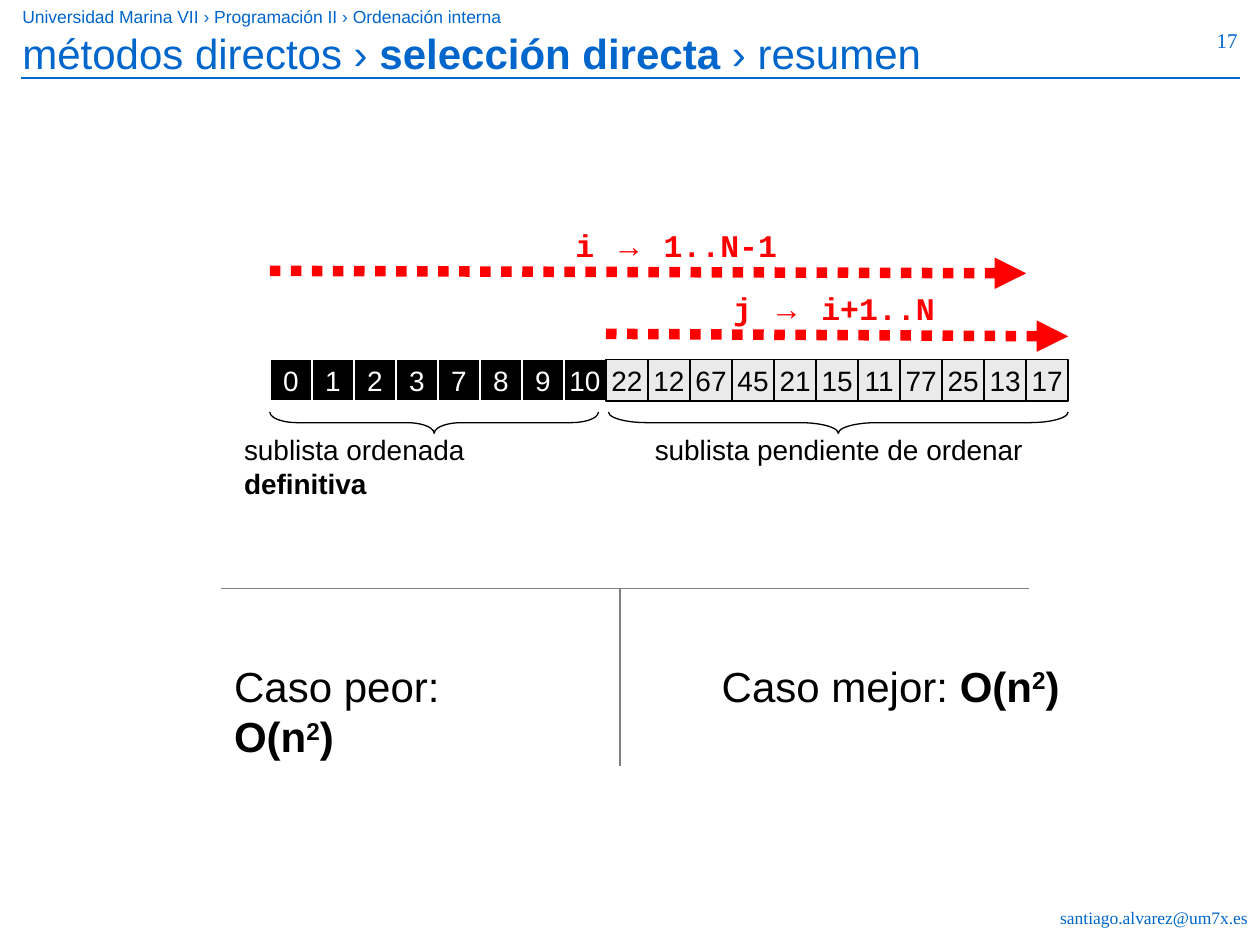
from lxml.etree import SubElement
from pptx import Presentation
from pptx.dml.color import RGBColor
from pptx.enum.dml import MSO_LINE
from pptx.enum.shapes import MSO_CONNECTOR, MSO_SHAPE
from pptx.enum.text import MSO_ANCHOR, MSO_AUTO_SIZE, PP_ALIGN
from pptx.oxml.ns import qn
from pptx.util import Cm, Pt

BLUE = RGBColor(0x00, 0x66, 0xCC)
RED = RGBColor(0xFF, 0x00, 0x00)
GRAY = RGBColor(0x80, 0x80, 0x80)
PALE = RGBColor(0xEA, 0xEA, 0xEA)
BLACK = RGBColor(0x00, 0x00, 0x00)
WHITE = RGBColor(0xFF, 0xFF, 0xFF)

SORTED = [0, 1, 2, 3, 7, 8, 9, 10]
PENDING = [22, 12, 67, 45, 21, 15, 11, 77, 25, 13, 17]
LEFT, TOP, CELL = 5.44, 7.24, 0.847


def edge(index):
    """Left edge, in cm, of the list cell at index."""
    return LEFT + index * CELL


def write(frame, runs, size, color, font="Arial", align=PP_ALIGN.LEFT):
    """Fill a frame with one paragraph; each run is (text, styles)."""
    frame.margin_left = frame.margin_right = Cm(0.25)
    frame.margin_top = frame.margin_bottom = Cm(0.13)
    para = frame.paragraphs[0]
    para.alignment = align
    para.font.size = Pt(size)
    para.font.name = font
    para.font.color.rgb = color
    for text, *styles in runs:
        run = para.add_run()
        run.text = text
        if "bold" in styles:
            run.font.bold = True
        if "super" in styles:
            run._r.get_or_add_rPr().set("baseline", "30000")
        if "arial" in styles:
            run.font.name = "Arial"


def add_text(slide, box, runs, size, color, wrap=True, **style):
    frame = slide.shapes.add_textbox(*map(Cm, box)).text_frame
    frame.word_wrap = wrap
    write(frame, runs, size, color, **style)


def add_line(slide, start, end, color, width=0.75):
    line = slide.shapes.add_connector(
        MSO_CONNECTOR.STRAIGHT, *map(Cm, start + end))
    line.line.color.rgb = color
    line.line.width = Pt(width)
    SubElement(line._element.spPr, qn("a:effectLst"))
    return line


def add_arrow(slide, first, last, y, label, x):
    """Dotted arrow from cell edge first to last, with its index range above."""
    arrow = add_line(slide, (edge(first), y), (edge(last), y + 0.05), RED, 6)
    arrow.line.dash_style = MSO_LINE.ROUND_DOT
    SubElement(arrow.line._get_or_add_ln(), qn("a:tailEnd"), type="triangle")
    name, span = label
    runs = [(name + " ", "bold"), ("→", "bold", "arial"), (" " + span, "bold")]
    add_text(slide, (x, y - 1.04, 4.57, 1.02), runs, 18, RED, wrap=False,
             font="Courier New")


def add_shape(slide, kind, box, line):
    shape = slide.shapes.add_shape(kind, *map(Cm, box))
    shape.shadow.inherit = False
    shape.line.color.rgb = line
    shape.line.width = Pt(0.75)
    return shape


def add_cells(slide, values, first, fill, line, color):
    for index, value in enumerate(values, first):
        cell = add_shape(slide, MSO_SHAPE.RECTANGLE,
                         (edge(index), TOP, CELL, CELL), line)
        cell.fill.solid()
        cell.fill.fore_color.rgb = fill
        frame = cell.text_frame
        frame.word_wrap = False
        frame.vertical_anchor = MSO_ANCHOR.MIDDLE
        write(frame, [(str(value),)], 16, color, align=PP_ALIGN.CENTER)


def add_brace(slide, start, end):
    """Brace that opens upwards under the list: a left brace turned by 270."""
    size, depth, middle = end - start, 0.43, 8.52
    box = ((start + end - depth) / 2, middle - size / 2, depth, size)
    brace = add_shape(slide, MSO_SHAPE.LEFT_BRACE, box, BLACK)
    brace.fill.background()
    brace.rotation = 270
    brace.adjustments[0] = size / 12 / depth


def add_title(slide):
    title = slide.shapes.title
    title.left, title.top, title.width, title.height = map(
        Cm, (0.2, 0.43, 22.02, 1.57))
    frame = title.text_frame
    frame.auto_size = MSO_AUTO_SIZE.NONE
    frame.vertical_anchor = MSO_ANCHOR.TOP
    write(frame, [("métodos directos › ",), ("selección directa ", "bold"),
                  ("› resumen",)], 24, BLUE)


def add_frame(slide):
    """Header, rule, page number and address."""
    add_line(slide, (0.43, 1.57), (24.99, 1.57), BLUE)
    add_text(slide, (0.2, 0, 14.81, 0.69),
             [("Universidad Marina VII › Programación II › Ordenación interna",)],
             10, BLUE)
    add_title(slide)
    serif = {"font": "Times New Roman", "align": PP_ALIGN.RIGHT}
    add_text(slide, (17.35, 18.16, 8.05, 0.69),
             [("santiago.alvarez@um7x.es",)], 10, BLUE, **serif)
    add_text(slide, (23.5, 0.43, 1.7, 1.32), [("17",)], 12, BLUE, **serif)


def add_list(slide):
    split = len(SORTED)
    total = split + len(PENDING)
    add_cells(slide, SORTED, 0, BLACK, WHITE, WHITE)
    add_cells(slide, PENDING, split, PALE, BLACK, BLACK)
    add_brace(slide, LEFT, edge(split) - 0.15)
    add_brace(slide, edge(split) + 0.05, edge(total))
    add_text(slide, (4.67, 8.59, 7.57, 0.94),
             [("sublista ordenada ",), ("definitiva", "bold")],
             16, BLACK, wrap=False)
    add_text(slide, (12.95, 8.59, 7.92, 0.94),
             [("sublista pendiente de ordenar",)], 16, BLACK, wrap=False)
    add_arrow(slide, 0, total - 1, 5.46, ("i", "1..N-1"), 11.35)
    add_arrow(slide, split, total, 6.73, ("j", "i+1..N"), 14.53)


def add_cases(slide):
    add_line(slide, (4.45, 11.86), (20.75, 11.86), GRAY)
    add_line(slide, (12.5, 11.86), (12.5, 15.44), GRAY)
    for name, x, width in (("peor", 4.47, 6.88), ("mejor", 14.3, 7.32)):
        add_text(slide, (x, 13.18, width, 1.27),
                 [(f"Caso {name}: ",), ("O(n", "bold"),
                  ("2", "bold", "super"), (")", "bold")],
                 24, BLACK, wrap=False)


def main():
    deck = Presentation()
    deck.slide_width, deck.slide_height = Cm(25.4), Cm(19.05)
    slide = deck.slides.add_slide(deck.slide_layouts[5])
    add_frame(slide)
    add_list(slide)
    add_cases(slide)
    deck.save("out.pptx")


if __name__ == "__main__":
    main()
